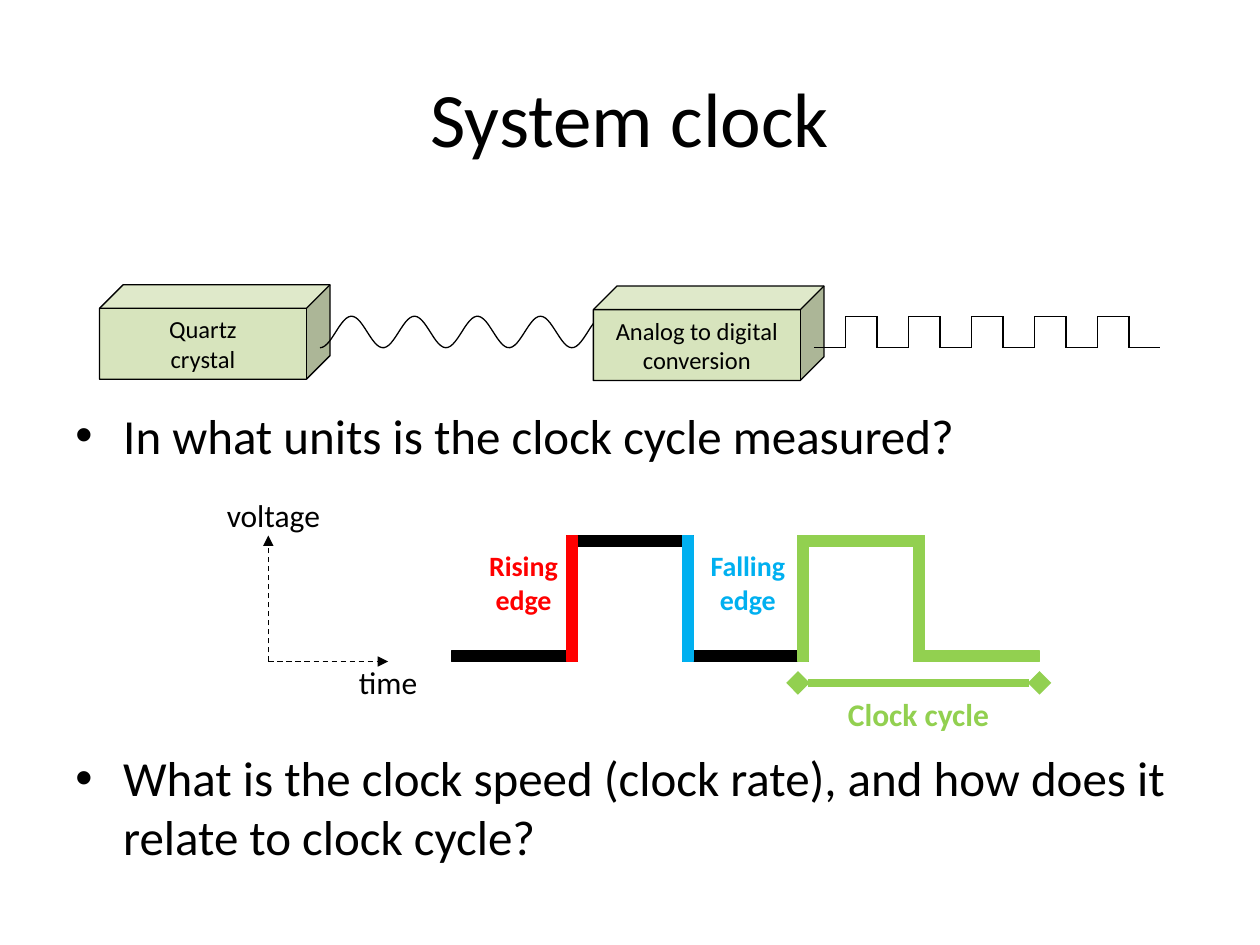
from math import cos, pi
from pptx import Presentation
from pptx.dml.color import RGBColor
from pptx.enum.dml import MSO_LINE_DASH_STYLE as Dash
from pptx.enum.shapes import MSO_CONNECTOR as Connector, MSO_SHAPE as Shape
from pptx.enum.text import MSO_ANCHOR as Anchor, PP_ALIGN as Align
from pptx.oxml.xmlchemy import OxmlElement
from pptx.util import Inches, Pt

BLACK, GREEN, RED, BLUE, OLIVE = "000000", "92D050", "FF0000", "00B0F0", "D7E4BD"


def write(shape, lines, size, color=BLACK, bold=False, align=Align.CENTER,
          anchor=Anchor.MIDDLE, inset=0.05):
    frame = shape.text_frame
    frame.word_wrap = True
    frame.vertical_anchor = anchor
    frame.margin_left = frame.margin_right = Inches(inset)
    for index, line in enumerate(lines):
        para = frame.add_paragraph() if index else frame.paragraphs[0]
        para.alignment = align
        span = para.add_run()
        span.text = line
        span.font.name = "Calibri"
        span.font.size = Pt(size)
        span.font.bold = bold
        span.font.color.rgb = RGBColor.from_string(color)
    return frame


def draw_line(start, end, color=BLACK, width=0.75, dash=None, head=None, tail=None):
    line = slide.shapes.add_connector(Connector.STRAIGHT, *map(Inches, start + end))
    line.line.color.rgb = RGBColor.from_string(color)
    line.line.width = Pt(width)
    if dash:
        line.line.dash_style = dash
    for tag, kind in (("a:headEnd", head), ("a:tailEnd", tail)):
        if kind:
            arrow = OxmlElement(tag)
            arrow.set("type", kind)
            line.line._get_or_add_ln().append(arrow)
    line._element.spPr.append(OxmlElement("a:effectLst"))


deck = Presentation()
deck.slide_width, deck.slide_height = Inches(10), Inches(7.5)
slide = deck.slides.add_slide(deck.slide_layouts[5])

title = slide.shapes.title
title.left, title.top, title.width, title.height = map(Inches, (0.5, 0.3, 9, 1.25))
write(title, ["System clock"], 44, inset=0.1)

body = slide.shapes.add_textbox(*map(Inches, (0.5, 3.17, 9, 4)))
questions = write(body, [
    "In what units is the clock cycle measured?",
    "What is the clock speed (clock rate), and how does it relate to clock cycle?",
], 28, align=Align.LEFT, anchor=Anchor.TOP, inset=0.1)
for para, space in zip(questions.paragraphs, (5.6, 162)):
    para.space_before = Pt(space)
    properties = para._p.get_or_add_pPr()
    properties.set("marL", str(Inches(0.38)))
    properties.set("indent", str(Inches(-0.38)))
    for tag, name, value in (("a:buFont", "typeface", "Arial"), ("a:buChar", "char", "•")):
        bullet = OxmlElement(tag)
        bullet.set(name, value)
        properties.append(bullet)

wave_left, wave_right, high, low, period = 2.54, 4.8, 2.51, 2.76, 0.5
middle, swing, steps = (high + low) / 2, (low - high) / 2, 120
points = []
for step in range(steps + 1):
    offset = (wave_right - wave_left) * step / steps
    height = middle + swing * cos(2 * pi * offset / period)
    points.append((Inches(wave_left + offset), Inches(height)))
builder = slide.shapes.build_freeform(*points[0])
builder.add_line_segments(points[1:], close=False)
wave = builder.convert_to_shape()
wave.fill.background()
wave.line.color.rgb = RGBColor.from_string(BLACK)
wave.line.width = Pt(0.75)
wave.shadow.inherit = False

for left, top, lines in (
    (0.79, 2.26, ["Quartz", "crystal"]),
    (4.71, 2.27, ["Analog to digital conversion"]),
):
    cube = slide.shapes.add_shape(Shape.CUBE, *map(Inches, (left, top, 1.83, 0.75)))
    cube.fill.solid()
    cube.fill.fore_color.rgb = RGBColor.from_string(OLIVE)
    cube.line.color.rgb = RGBColor.from_string(BLACK)
    cube.line.width = Pt(0.75)
    cube.shadow.inherit = False
    write(cube, lines, 14, inset=0.1)
    if left < wave_left:
        wave._element.addprevious(cube._element)

half, cycles, pulse_left = period / 2, 5, 6.46
for cycle in range(cycles):
    start = pulse_left + cycle * period
    rise, fall = start + half, start + period
    draw_line((start, low), (rise, low))
    draw_line((rise, low), (rise, high))
    draw_line((rise, high), (fall, high))
    draw_line((fall, high), (fall, low))
pulse_right = pulse_left + cycles * period
draw_line((pulse_right, low), (pulse_right + half, low))

axis_x, axis_y = 2.13, 5.25
for end in ((axis_x, 4.25), (3.08, axis_y)):
    draw_line((axis_x, axis_y), end, dash=Dash.DASH, tail="triangle")

bar, length, top = 1 / 12, 1, 4.25
base = top + length - bar
columns = [43 * bar + column * (length - bar) for column in range(5)]
for column, y, width, height, color in (
    (0, base, length, bar, BLACK),
    (1, top, length, bar, BLACK),
    (2, base, length, bar, BLACK),
    (3, top, bar, length, GREEN),
    (3, top, length, bar, GREEN),
    (4, top, bar, length, GREEN),
    (4, base, length, bar, GREEN),
    (1, top, bar, length, RED),
    (2, top, bar, length, BLUE),
):
    box = slide.shapes.add_shape(
        Shape.RECTANGLE, *map(Inches, (columns[column], y, width, height)))
    box.fill.solid()
    box.fill.fore_color.rgb = RGBColor.from_string(color)
    box.line.color.rgb = RGBColor.from_string(color)
    box.line.width = Pt(0.75)
    box.shadow.inherit = False

draw_line((columns[3], 5.42), (columns[4] + length, 5.42), GREEN, 4.5,
          head="diamond", tail="diamond")

for text, left, top, width, height, size, color, bold in (
    ("voltage", 1.67, 3.92, 1, 0.33, 18, BLACK, False),
    ("time", 2.58, 5.25, 1, 0.33, 18, BLACK, False),
    ("Clock cycle", 6.33, 5.5, 1.92, 0.33, 18, GREEN, True),
    ("Falling edge", 5.53, 4.33, 0.81, 0.58, 16, BLUE, True),
    ("Rising edge", 3.75, 4.33, 0.81, 0.58, 16, RED, True),
):
    label = slide.shapes.add_textbox(*map(Inches, (left, top, width, height)))
    write(label, [text], size, color, bold)

deck.save("out.pptx")
